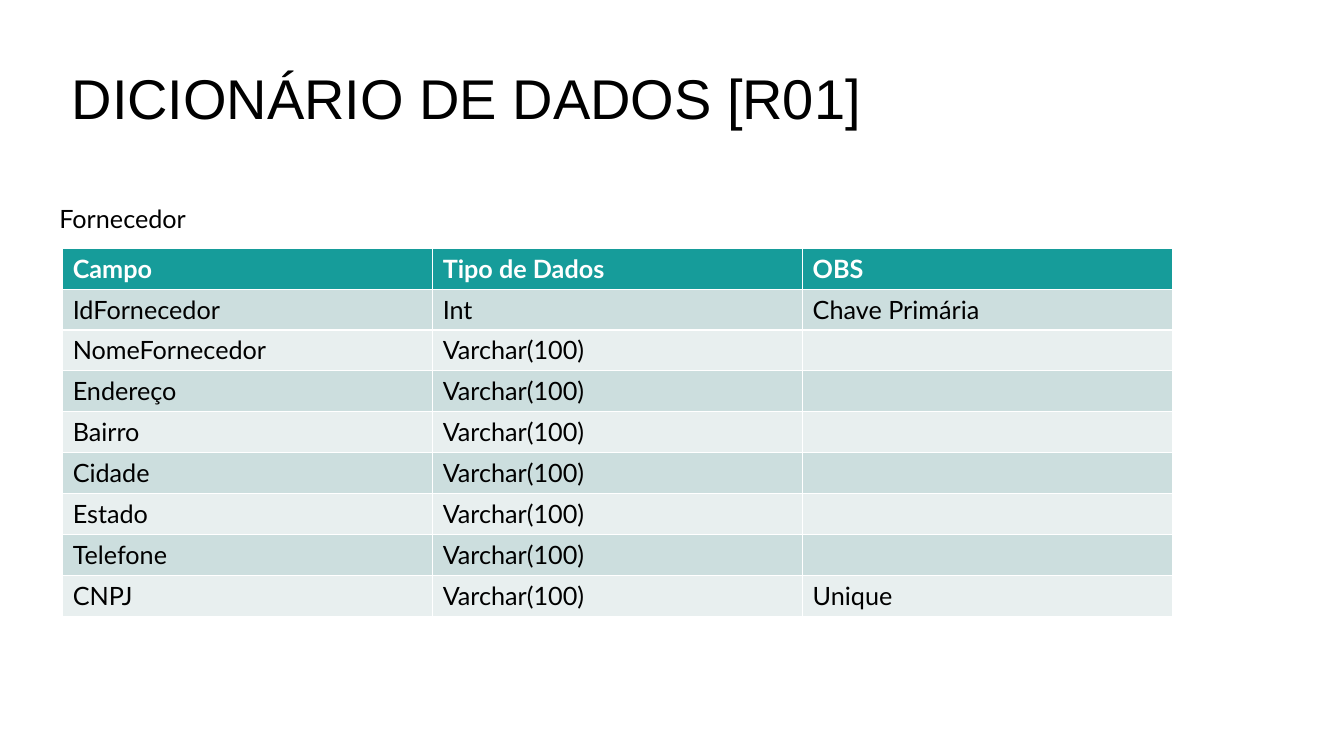
"""Build the data dictionary slide for the supplier table."""
import pptx
import pptx.util
import pptx.dml.color
import pptx.enum.text

Pt = pptx.util.Pt
TITLE = "DICIONÁRIO DE DADOS [R01]"
LABEL = "Fornecedor"
ROWS = [
    ("Campo", "Tipo de Dados", "OBS"),
    ("IdFornecedor", "Int", "Chave Primária"),
    ("NomeFornecedor", "Varchar(100)", ""),
    ("Endereço", "Varchar(100)", ""),
    ("Bairro", "Varchar(100)", ""),
    ("Cidade", "Varchar(100)", ""),
    ("Estado", "Varchar(100)", ""),
    ("Telefone", "Varchar(100)", ""),
    ("CNPJ", "Varchar(100)", "Unique"),
]
HEAD, BANDS = "169C9A", ("E8EFEF", "CCDEDE")
BLACK, WHITE = "000000", "FFFFFF"
BIG = {"name": "Arial", "size": Pt(40), "bold": False}
BODY = {"name": "Lato", "size": Pt(18), "bold": False}
BOLD = {**BODY, "bold": True}
FRAME = {
    "word_wrap": False,
    "auto_size": pptx.enum.text.MSO_AUTO_SIZE.SHAPE_TO_FIT_TEXT,
    "vertical_anchor": pptx.enum.text.MSO_ANCHOR.TOP,
}
LEFT, TOP, COL, ROW = 44.8, 177.3, 264.3, 29.2


def paint(target, color):
    """Set the RGB value of a colour object."""
    target.rgb = pptx.dml.color.RGBColor.from_string(color)


def apply(item, values):
    """Set attributes from a dict."""
    for key, value in values.items():
        setattr(item, key, value)


def write(frame, text, style, color):
    """Put one left-aligned run of text in a frame."""
    para = frame.paragraphs[0]
    para.alignment = pptx.enum.text.PP_ALIGN.LEFT
    run = para.add_run()
    run.text = text
    apply(run.font, style)
    paint(run.font.color, color)


def main():
    """Build and save the slide."""
    deck = pptx.Presentation()
    apply(deck, {"slide_width": Pt(960), "slide_height": Pt(540)})
    slide = deck.slides.add_slide(deck.slide_layouts[5])
    title = slide.shapes.title
    apply(title, {"left": Pt(44), "top": Pt(42), "width": Pt(584.6), "height": Pt(55.4)})
    apply(title.text_frame, FRAME)
    write(title.text_frame, TITLE, BIG, BLACK)

    size = len(ROWS), len(ROWS[0])
    grid = slide.shapes.add_table(
        *size, Pt(LEFT), Pt(TOP), Pt(COL * size[1]), Pt(ROW * size[0])).table
    for col in grid.columns:
        col.width = Pt(COL)
    for r, row in enumerate(ROWS):
        grid.rows[r].height = Pt(ROW)
        for c, text in enumerate(row):
            cell = grid.cell(r, c)
            cell.fill.solid()
            paint(cell.fill.fore_color, BANDS[r % 2] if r else HEAD)
            if text:
                write(cell.text_frame, text, BODY if r else BOLD, BLACK if r else WHITE)

    label = slide.shapes.add_textbox(Pt(35.3), Pt(142), Pt(107.3), Pt(29))
    apply(label.text_frame, FRAME)
    write(label.text_frame, LABEL, BODY, BLACK)
    deck.save("out.pptx")


if __name__ == "__main__":
    main()
